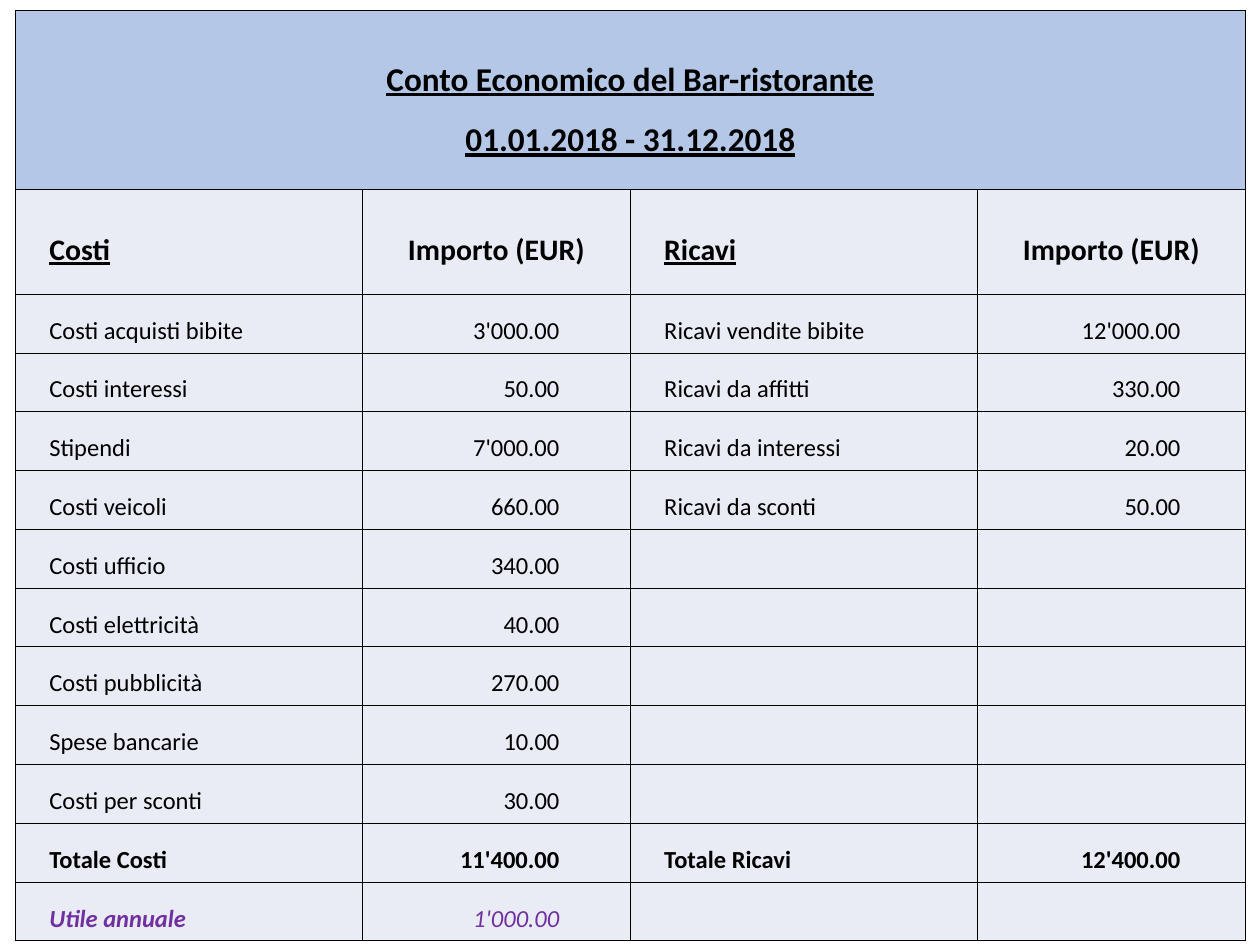
from dataclasses import dataclass

from lxml import etree
from pptx import Presentation
from pptx.dml.color import RGBColor
from pptx.enum.text import MSO_ANCHOR, PP_ALIGN
from pptx.oxml.ns import qn
from pptx.table import _Cell
from pptx.util import Pt

LEFT, CENTER, RIGHT = PP_ALIGN.LEFT, PP_ALIGN.CENTER, PP_ALIGN.RIGHT
MIDDLE = MSO_ANCHOR.MIDDLE
BLACK, PURPLE = "000000", "7030A0"
TITLE_FILL, BODY_FILL = "B4C7E7", "E9EBF5"
COLUMN_WIDTHS = [198.4, 153, 198.4, 153]
TITLE_HEIGHT, HEADER_HEIGHT, ENTRY_HEIGHT = 102.2, 59.8, 33.6
SIDE_MARGIN, LABEL_INDENT = 5, 14.4
AMOUNT_MARGINS = {1: 40.5, 3: 37}


@dataclass(frozen=True)
class TextStyle:
    size: float = 14
    bold: bool = False
    italic: bool = False
    underline: bool = False
    color: str = BLACK
    alignment: PP_ALIGN = LEFT
    indent: float = 0
    right_margin: float = SIDE_MARGIN


@dataclass(frozen=True)
class Entry:
    cost: str
    cost_amount: str
    revenue: str = ""
    revenue_amount: str = ""
    bold_label: bool = False
    bold_amount: bool = False
    italic: bool = False
    color: str = BLACK


ENTRIES = [
    Entry("Costi acquisti bibite", "3'000.00", "Ricavi vendite bibite", "12'000.00"),
    Entry("Costi interessi", "50.00", "Ricavi da affitti", "330.00"),
    Entry("Stipendi", "7'000.00", "Ricavi da interessi", "20.00"),
    Entry("Costi veicoli", "660.00", "Ricavi da sconti", "50.00"),
    Entry("Costi ufficio", "340.00"),
    Entry("Costi elettricità", "40.00"),
    Entry("Costi pubblicità", "270.00"),
    Entry("Spese bancarie", "10.00"),
    Entry("Costi per sconti", "30.00"),
    Entry("Totale Costi", "11'400.00", "Totale Ricavi", "12'400.00",
          bold_label=True, bold_amount=True),
    Entry("Utile annuale", "1'000.00", bold_label=True, italic=True, color=PURPLE),
]


def rgb(color: str) -> RGBColor:
    return RGBColor.from_string(color)


def format_cell(cell: _Cell, fill: str) -> None:
    properties = cell._tc.get_or_add_tcPr()
    for side in ("lnL", "lnR", "lnT", "lnB"):
        border = etree.SubElement(properties, qn(f"a:{side}"), w=str(Pt(0.25)))
        solid_fill = etree.SubElement(border, qn("a:solidFill"))
        etree.SubElement(solid_fill, qn("a:srgbClr"), val=BLACK)
    cell.fill.solid()
    cell.fill.fore_color.rgb = rgb(fill)
    cell.vertical_anchor = MIDDLE
    cell.margin_left = cell.margin_right = Pt(SIDE_MARGIN)
    cell.margin_top = cell.margin_bottom = Pt(0)


def write_cell(cell: _Cell, text: str, style: TextStyle) -> None:
    cell.text = text
    cell.margin_right = Pt(style.right_margin)
    for paragraph in cell.text_frame.paragraphs:
        paragraph.alignment = style.alignment
        paragraph.line_spacing = 1.5
        if style.indent:
            paragraph._p.get_or_add_pPr().set("marL", str(Pt(style.indent)))
        font = paragraph.font
        font.name = "Calibri"
        font.size = Pt(style.size)
        font.bold = style.bold
        font.italic = style.italic
        font.underline = style.underline
        font.color.rgb = rgb(style.color)


presentation = Presentation()
presentation.slide_width, presentation.slide_height = Pt(720), Pt(540)
slide = presentation.slides.add_slide(presentation.slide_layouts[6])

row_heights = [TITLE_HEIGHT, HEADER_HEIGHT] + [ENTRY_HEIGHT] * len(ENTRIES)
table = slide.shapes.add_table(
    len(row_heights), len(COLUMN_WIDTHS), Pt(8.8), Pt(6),
    Pt(sum(COLUMN_WIDTHS)), Pt(sum(row_heights)),
).table
table.first_row = table.horz_banding = False
for column, width in zip(table.columns, COLUMN_WIDTHS):
    column.width = Pt(width)
for row_index, (row, height) in enumerate(zip(table.rows, row_heights)):
    row.height = Pt(height)
    for cell in row.cells:
        format_cell(cell, BODY_FILL if row_index else TITLE_FILL)

title_cell = table.cell(0, 0)
title_cell.merge(table.cell(0, len(COLUMN_WIDTHS) - 1))
write_cell(title_cell, "Conto Economico del Bar-ristorante\n01.01.2018 - 31.12.2018",
           TextStyle(size=19, bold=True, underline=True, alignment=CENTER))

label_header = TextStyle(size=17, bold=True, underline=True, indent=LABEL_INDENT)
amount_header = TextStyle(size=17, bold=True, alignment=CENTER)
for column_index, heading in ((0, "Costi"), (2, "Ricavi")):
    write_cell(table.cell(1, column_index), heading, label_header)
    write_cell(table.cell(1, column_index + 1), "Importo (EUR)", amount_header)

for row_index, entry in enumerate(ENTRIES, start=2):
    texts = (entry.cost, entry.cost_amount, entry.revenue, entry.revenue_amount)
    for column_index, text in enumerate(texts):
        if not text:
            continue
        is_amount = column_index in AMOUNT_MARGINS
        write_cell(table.cell(row_index, column_index), text, TextStyle(
            bold=entry.bold_amount if is_amount else entry.bold_label,
            italic=entry.italic,
            color=entry.color,
            alignment=RIGHT if is_amount else LEFT,
            indent=0 if is_amount else LABEL_INDENT,
            right_margin=AMOUNT_MARGINS.get(column_index, SIDE_MARGIN),
        ))

presentation.save("out.pptx")
